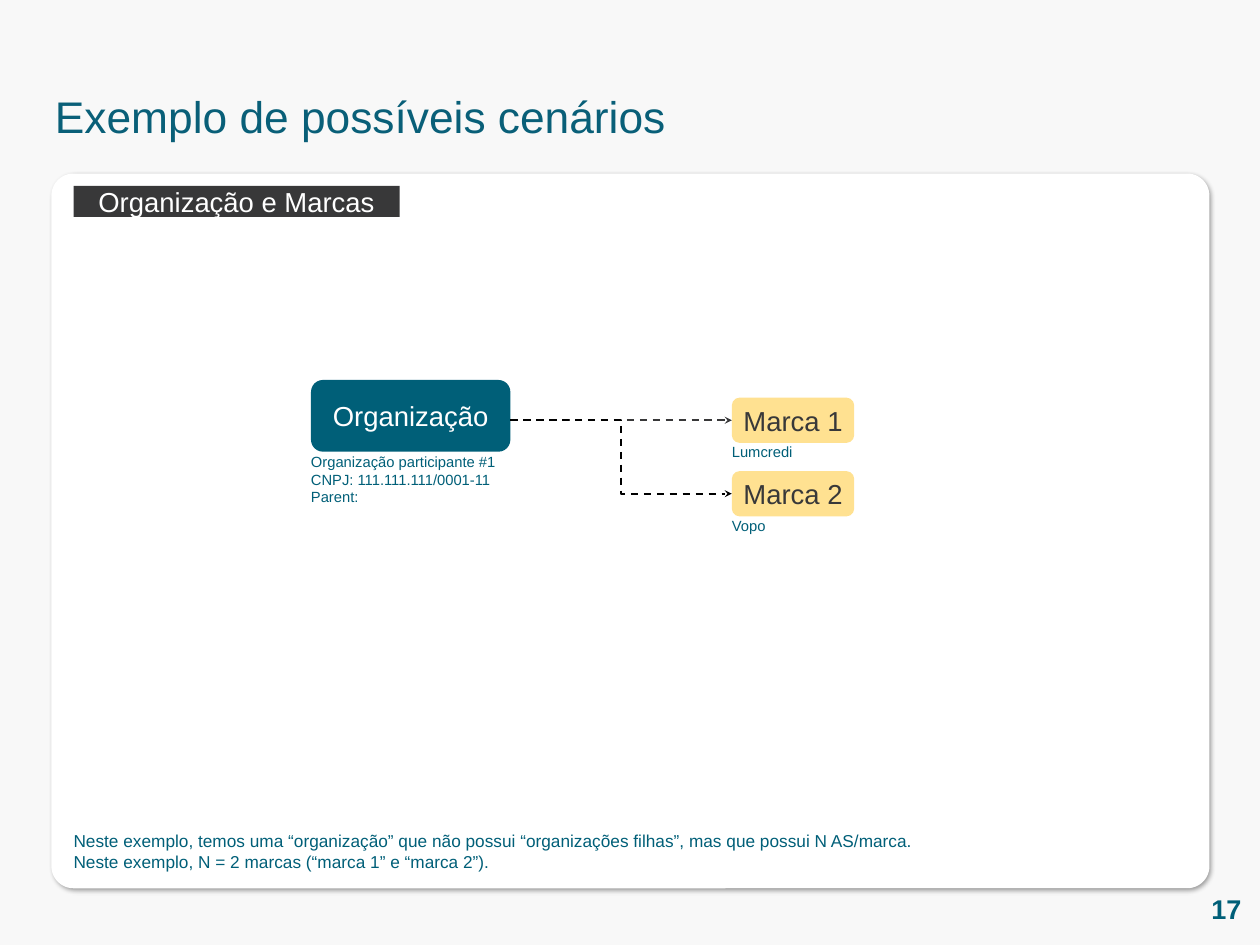
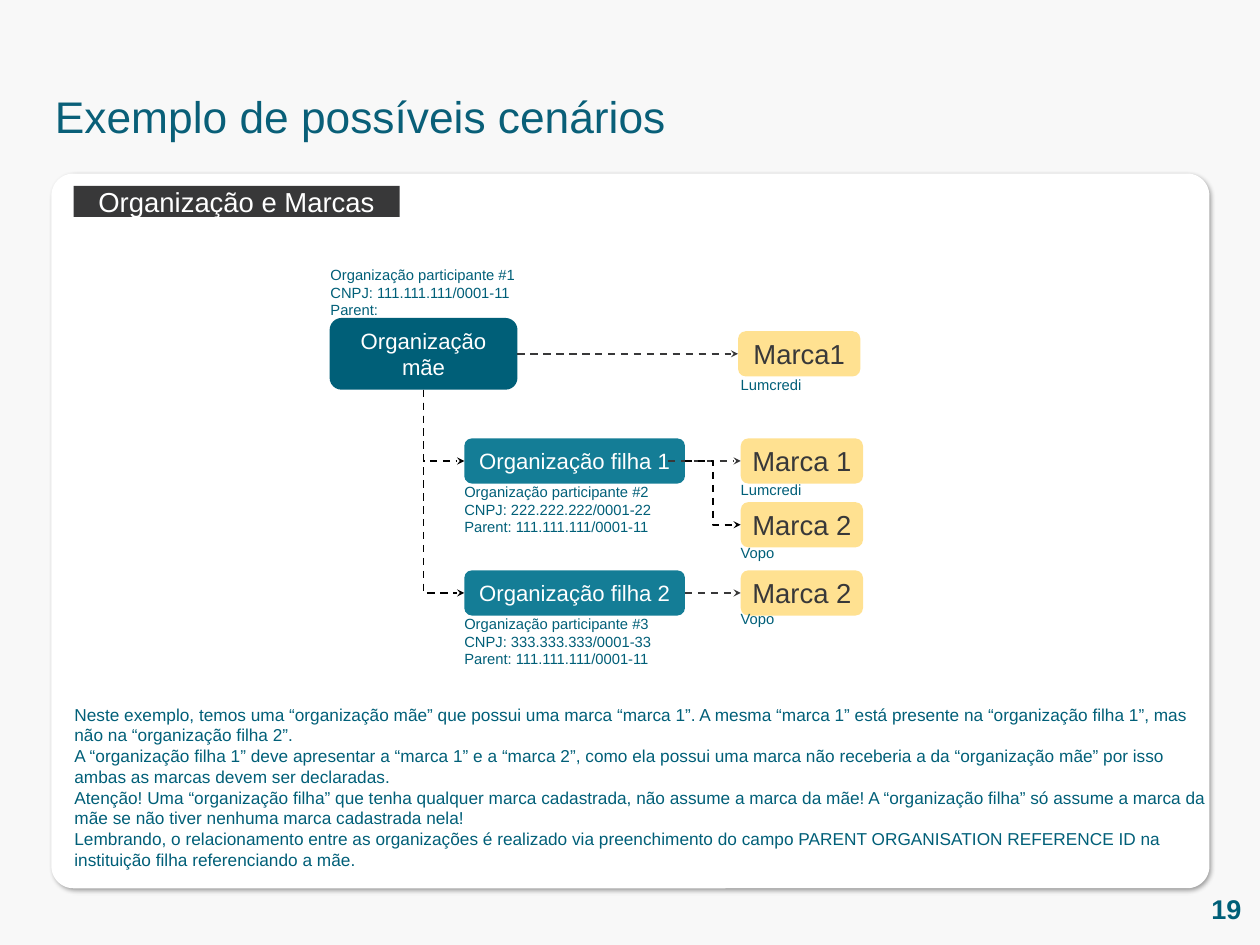
from lxml import etree
from pptx import Presentation
from pptx.dml.color import RGBColor
from pptx.enum.dml import MSO_LINE as Dash
from pptx.enum.shapes import MSO_CONNECTOR as Link, MSO_SHAPE as Geom
from pptx.enum.text import MSO_ANCHOR as Anchor, MSO_AUTO_SIZE as Auto, PP_ALIGN as Align
from pptx.oxml import parse_xml
from pptx.oxml.ns import nsdecls, qn
from pptx.util import Inches, Pt

PAPER = RGBColor(0xF8, 0xF8, 0xF8)
WHITE = RGBColor(0xFF, 0xFF, 0xFF)
BLACK = RGBColor(0, 0, 0)
DARK = RGBColor(0x38, 0x38, 0x39)
TEAL = RGBColor(0x00, 0x5F, 0x78)
HEAD = RGBColor(0x09, 0x5F, 0x78)
CHILD = RGBColor(0x14, 0x7D, 0x96)
SAND = RGBColor(0xFF, 0xE1, 0x91)
FONT = "Arial"
TOP, LEFT, BOTTOM, RIGHT = range(4)
FIRST, SECOND = "Lumcredi", "Vopo"


def write(frame, words, size, color, align=Align.LEFT, bold=False, anchor=Anchor.TOP):
    """Fill a text frame with evenly styled paragraphs."""
    frame.text = words
    frame.word_wrap = True
    frame.auto_size = Auto.NONE
    frame.vertical_anchor = anchor
    for par in frame.paragraphs:
        par.alignment = align
        font = par.font
        font.name, font.size, font.bold = FONT, Pt(size), bold
        font.color.rgb = color


def bare(frame):
    """Remove the margins of a text frame."""
    frame.margin_left = frame.margin_right = 0
    frame.margin_top = frame.margin_bottom = 0


def label(slide, x, y, w, h, words, size=12, **style):
    """Add a text box without margins."""
    box = slide.shapes.add_textbox(Inches(x), Inches(y), Inches(w), Inches(h))
    bare(box.text_frame)
    write(box.text_frame, words, size, TEAL, **style)


def block(slide, x, y, w, h, fill, words="", size=22.3, color=WHITE, geom=Geom.ROUNDED_RECTANGLE):
    """Add a filled shape with centred text."""
    box = slide.shapes.add_shape(geom, Inches(x), Inches(y), Inches(w), Inches(h))
    box.shadow.inherit = False
    box.fill.solid()
    box.fill.fore_color.rgb = fill
    box.line.fill.background()
    if words:
        write(box.text_frame, words, size, color, Align.CENTER, anchor=Anchor.MIDDLE)
    return box


def spot(end):
    """Return the point of a free (x, y) or a (shape, side) end."""
    box, side = end
    if not hasattr(box, "left"):
        return Inches(box), Inches(side)
    return (box.left + box.width * (1, 0, 1, 2)[side] // 2,
            box.top + box.height * (0, 1, 2, 1)[side] // 2)


def link(slide, start, end, kind=Link.STRAIGHT):
    """Draw a dashed arrow, joined wherever an end names a shape."""
    line = slide.shapes.add_connector(kind, *spot(start), *spot(end))
    if hasattr(start[0], "left"):
        line.begin_connect(*start)
    line.end_connect(*end)
    line.line.color.rgb = DARK if kind == Link.STRAIGHT else BLACK
    line.line.width = Pt(1.5)
    line.line.dash_style = Dash.DASH
    props = line.element.spPr
    etree.SubElement(props.find(qn("a:ln")), qn("a:tailEnd"), type="stealth")
    etree.SubElement(props, qn("a:effectLst"))
    return line


def drop(slide, start, end):
    """Draw an arrow that goes down and then right."""
    line = link(slide, start, end, Link.ELBOW)
    wide, high = line.width, line.height
    line.left += (wide - high) // 2
    line.top += (high - wide) // 2
    line.width, line.height = high, wide
    props = line.element.spPr
    props.find(qn("a:prstGeom")).set("prst", "bentConnector2")
    form = props.find(qn("a:xfrm"))
    form.set("rot", str(270 * 60000))
    form.set("flipH", "1")


def brand(slide, x, y, words, name, gap=0.51, shift=0):
    """Add a brand box with its name below."""
    box = block(slide, x, y, 1.38, 0.51, SAND, words, color=DARK)
    label(slide, x + shift, y + gap, 3.67, 0.2, name)
    return box


def facts(slide, x, y, num, code, parent=""):
    """Add the record of an organisation."""
    words = f"Organização participante #{num}\vCNPJ: {code}\nParent:"
    label(slide, x, y, 3.67, 0.61, f"{words} {parent}".rstrip())


def panel(slide, x, y, w, h):
    """Add the white card and its dark heading."""
    card = block(slide, x, y, w, h, WHITE)
    card.adjustments[0] = 0.031
    card.element.spPr.find(qn("a:effectLst")).append(parse_xml(
        f'<a:outerShdw {nsdecls("a")} blurRad="{Pt(4)}" dist="{Pt(3)}" dir="2700000" '
        'algn="tl" rotWithShape="0"><a:srgbClr val="000000"><a:alpha val="40000"/>'
        '</a:srgbClr></a:outerShdw>'))
    block(slide, x + 0.25, y + 0.14, 3.68, 0.35, DARK, "Organização e Marcas", geom=Geom.RECTANGLE)


def page(deck, num):
    """Add a slide with title, card and page number."""
    slide = deck.slides.add_slide(deck.slide_layouts[5])
    title = slide.shapes.title
    title.left, title.top = Inches(0.62), Inches(1.01)
    title.width, title.height = Inches(7.88), Inches(0.61)
    bare(title.text_frame)
    write(title.text_frame, "Exemplo de possíveis cenários", 36, HEAD)
    panel(slide, 0.58, 1.96, 13.07, 8.07)
    label(slide, 13.2, 10.03, 0.81, 0.47, num, 22,
          align=Align.RIGHT, bold=True, anchor=Anchor.MIDDLE)
    return slide


def single(slide, x, y):
    """Draw one organisation with two brands."""
    block(slide, x, y, 2.25, 0.81, TEAL, "Organização")
    facts(slide, x, y + 0.82, 1, "111.111.111/0001-11")
    one = brand(slide, x + 4.75, y + 0.2, "Marca 1", FIRST)
    two = brand(slide, x + 4.75, y + 1.03, "Marca 2", SECOND)
    start = x + 2.25, y + 0.455
    link(slide, start, (one, LEFT))
    link(slide, start, (two, LEFT), Link.ELBOW)


def family(slide, x, y):
    """Draw a parent organisation, its two children and their brands."""
    root = block(slide, x, y, 2.12, 0.81, TEAL, "Organização mãe", 18)
    facts(slide, x + 0.01, y - 0.59, 1, "111.111.111/0001-11")
    own = brand(slide, x + 4.61, y + 0.15, "Marca1", FIRST, 0.5, 0.03)
    link(slide, (root, RIGHT), (own, LEFT))
    kids = []
    for num, down, code in ((1, 1.36, "222.222.222/0001-22"), (2, 2.85, "333.333.333/0001-33")):
        kid = block(slide, x + 1.52, y + down, 2.49, 0.51, CHILD, f"Organização filha {num}", 18)
        facts(slide, x + 1.52, y + down + 0.5, num + 1, code, "111.111.111/0001-11")
        drop(slide, (root, BOTTOM), (kid, LEFT))
        kids.append(kid)
    right = x + 4.64
    one = brand(slide, right, y + 1.36, "Marca 1", FIRST, 0.48)
    two = brand(slide, right, y + 2.08, "Marca 2", SECOND, 0.47)
    last = brand(slide, right, y + 2.85, "Marca 2", SECOND, 0.44)
    link(slide, (x + 3.82, y + 1.615), (one, LEFT))
    link(slide, (kids[0], RIGHT), (two, LEFT), Link.ELBOW)
    link(slide, (kids[1], RIGHT), (last, LEFT))


def main():
    """Build and save the two slides."""
    deck = Presentation()
    deck.slide_width, deck.slide_height = Inches(14.22), Inches(10.67)
    back = deck.slide_master.background.fill
    back.solid()
    back.fore_color.rgb = PAPER

    slide = page(deck, "17")
    single(slide, 3.51, 4.29)
    label(slide, 0.83, 9.38, 11.76, 0.47, "\n".join((
        "Neste exemplo, temos uma “organização” que não possui “organizações filhas”, "
        "mas que possui N AS/marca.",
        "Neste exemplo, N = 2 marcas (“marca 1” e “marca 2”).")), 14)

    slide = page(deck, "19")
    family(slide, 3.72, 3.59)
    label(slide, 0.84, 7.95, 12.8, 1.88, "\n".join((
        "Neste exemplo, temos uma “organização mãe” que possui uma marca “marca 1”. "
        "A mesma “marca 1” está presente na “organização filha 1”, mas não na “organização filha 2”.",
        "A “organização filha 1” deve apresentar a “marca 1” e a “marca 2”, como ela possui uma marca "
        "não receberia a da “organização mãe” por isso ambas as marcas devem ser declaradas.",
        "Atenção! Uma “organização filha” que tenha qualquer marca cadastrada, não assume a marca da mãe! "
        "A “organização filha” só assume a marca da mãe se não tiver nenhuma marca cadastrada nela!",
        "Lembrando, o relacionamento entre as organizações é realizado via preenchimento do campo "
        "PARENT ORGANISATION REFERENCE ID na instituição filha referenciando a mãe.")), 14)
    deck.save("out.pptx")


if __name__ == "__main__":
    main()
